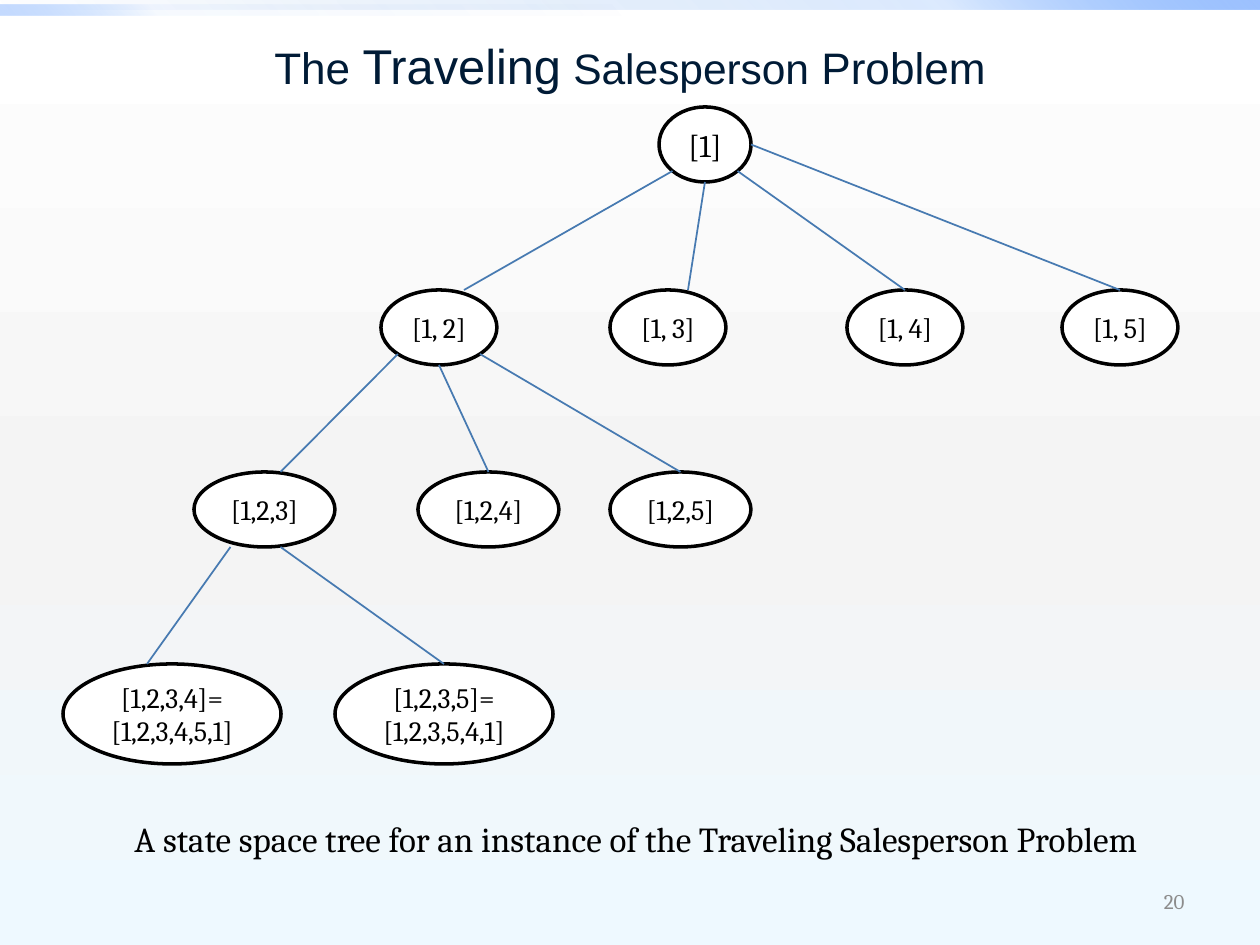
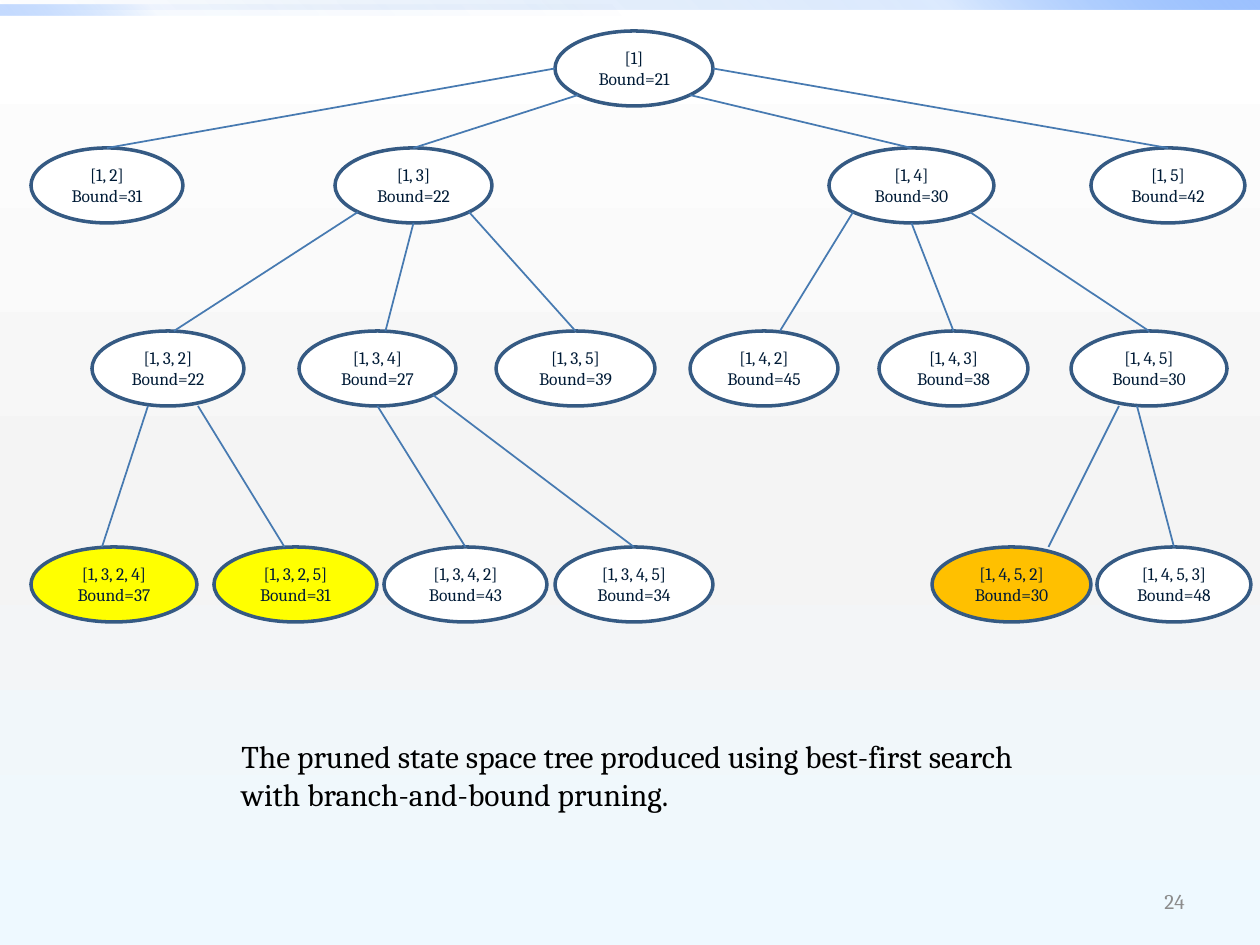
from math import sqrt

from lxml import etree
from pptx import Presentation
from pptx.dml.color import RGBColor
from pptx.enum.shapes import MSO_CONNECTOR, MSO_SHAPE
from pptx.enum.text import MSO_ANCHOR, MSO_AUTO_SIZE, PP_ALIGN
from pptx.oxml.ns import qn
from pptx.util import Emu, Pt

SCALE = 914400 / 126
WIDE, HIGH = 1260, 945

LINE = MSO_CONNECTOR.STRAIGHT
OVAL, RECT = MSO_SHAPE.OVAL, MSO_SHAPE.RECTANGLE
MIDDLE, TOP = MSO_ANCHOR.MIDDLE, MSO_ANCHOR.TOP
LEFT, CENTER, RIGHT = PP_ALIGN.LEFT, PP_ALIGN.CENTER, PP_ALIGN.RIGHT
NO_FIT = MSO_AUTO_SIZE.NONE

WHITE = RGBColor(0xFF, 0xFF, 0xFF)
BLACK = RGBColor(0, 0, 0)
SMOKE = RGBColor(0xF4, 0xF4, 0xF4)
ICE = RGBColor(0xEE, 0xF9, 0xFF)
DEEP = RGBColor(0, 0x58, 0xB7)
BLUE = RGBColor(0x4F, 0x95, 0xFF)
PALE = RGBColor(0x9E, 0xC2, 0xFF)
NAVY = RGBColor(0, 0x1B, 0x36)
STEEL = RGBColor(0x35, 0x5A, 0x83)
EDGE = RGBColor(0x47, 0x7A, 0xB1)
GREY = RGBColor(0x8C, 0x8C, 0x8C)
YELLOW = RGBColor(0xFF, 0xFF, 0)
AMBER = RGBColor(0xFF, 0xC0, 0)

HEAD, BODY = "Arial", "Cambria"

# Points on an ellipse, as shares of its half width and half height
DIAG = sqrt(0.5)
SITES = {"W": (-1, 0), "SW": (-DIAG, DIAG), "S": (0, 1),
         "SE": (DIAG, DIAG), "E": (1, 0)}

TITLE = [("The ", 25.2), ("Traveling", 27.9), (" ", 25.2),
         ("Salesperson", 24.3), (" Problem", 25.2)]

# Level: top, height, font size, nodes.
# Node: label, left, width, then for its edge: site on the parent,
# shift of the start, shift of the end.
STATES = [
    (107, 75, 18, [("[1]", 659, 92)]),
    (290, 75, 16, [
        ("[1, 2]", 381, 116, "SW", 0, 25),
        ("[1, 3]", 610, 116, "S", 0, 20),
        ("[1, 4]", 847, 116, "SE", 0, 0),
        ("[1, 5]", 1062, 116, "E", 0, 0)]),
    (472, 75, 16, [
        ("[1,2,3]", 194, 141, "SW", 0, 16),
        ("[1,2,4]", 418, 141, "S", 0, 0),
        ("[1,2,5]", 610, 141, "SE", 0, 0)]),
    (664, 100, 16, [
        ("[1,2,3,4]=\n[1,2,3,4,5,1]", 63, 218, "S", -34, -25),
        ("[1,2,3,5]=\n[1,2,3,5,4,1]", 335, 218, "S", 16, 0)]),
]

BOUNDS = [
    (31, 75, 10, [("[1]\nBound=21", 555, 158)]),
    (148, 75, 10, [
        ("[1, 2]\nBound=31", 31, 152, "W", 0, 0),
        ("[1, 3]\nBound=22", 335, 157, "SW", 0, 0),
        ("[1, 4]\nBound=30", 829, 165, "SE", 0, 0),
        ("[1, 5]\nBound=42", 1091, 154, "E", 0, 0)]),
    (331, 75, 10, [
        ("[1, 3, 2]\nBound=22", 92, 152, "SW", 0, 6),
        ("[1, 3, 4]\nBound=27", 299, 157, "S", 0, 8),
        ("[1, 3, 5]\nBound=39", 496, 159, "SE", 0, 0),
        ("[1, 4, 2]\nBound=45", 690, 148, "SW", 0, 16),
        ("[1, 4, 3]\nBound=38", 879, 149, "S", 0, 0),
        ("[1, 4, 5]\nBound=30", 1071, 156, "SE", 0, 0)]),
    (547, 75, 10, [
        ("[1, 3, 2, 4]\nBound=37", 31, 166, "S", -20, -12),
        ("[1, 3, 2, 5]\nBound=31", 214, 163, "S", 30, -11),
        ("[1, 3, 4, 2]\nBound=43", 384, 163, "S", 0, 0),
        ("[1, 3, 4, 5]\nBound=34", 555, 158, "SE", 0, 0),
        ("[1, 4, 5, 2]\nBound=30", 932, 159, "S", -30, 37),
        ("[1, 4, 5, 3]\nBound=48", 1097, 154, "S", -12, 0)]),
]
MARKS = {"1324": YELLOW, "1325": YELLOW, "1452": AMBER}


def px(count):
    return Emu(round(count * SCALE))


def place(shape, *box):
    shape.left, shape.top, shape.width, shape.height = map(px, box)


def style(frame, size, color, align, font=BODY):
    for para in frame.paragraphs:
        para.alignment = align
        for run in para.runs:
            run.font.size = Pt(size)
            run.font.name = font
            run.font.color.rgb = color


def blend(owner, fill, stops, angle):
    """Give a fill a linear gradient; stops are (place, colour, opacity) in %."""
    fill.gradient()
    grad = next(owner.element.iter(qn("a:gradFill")))
    grad.find(qn("a:lin")).set("ang", str(angle * 60000))
    group = grad.find(qn("a:gsLst"))
    for old in list(group):
        group.remove(old)
    for pos, color, alpha in stops:
        stop = etree.SubElement(group, qn("a:gs"), pos=str(pos * 1000))
        tint = etree.SubElement(stop, qn("a:srgbClr"), val=str(color))
        etree.SubElement(tint, qn("a:alpha"), val=str(alpha * 1000))


def add_band(slide, master, box, alphas, angle):
    """Draw a band and move it to the back of the master."""
    band = slide.shapes.add_shape(RECT, *map(px, box))
    band.shadow.inherit = False
    band.line.fill.background()
    stops = zip((0, 75, 100), (DEEP, BLUE, PALE), alphas)
    blend(band, band.fill, stops, angle)
    master.shapes.element.insert(2, band.element)


def set_theme(slide, master):
    stops = [(0, WHITE, 100), (55, SMOKE, 100), (100, ICE, 100)]
    blend(master, master.background.fill, stops, 90)
    add_band(slide, master, (0, 5, WIDE // 2, 10), (0, 5, 60), 135)
    add_band(slide, master, (0, 0, WIDE, 10), (0, 20, 100), 315)


def set_title(slide, parts):
    title = slide.shapes.title
    place(title, 63, 30, 1134, 69)
    frame = title.text_frame
    frame.auto_size = NO_FIT
    frame.vertical_anchor = MIDDLE
    para = frame.paragraphs[0]
    for text, _ in parts:
        para.add_run().text = text
    style(frame, 25.2, NAVY, CENTER, HEAD)
    for run, (_, size) in zip(para.runs, parts):
        run.font.size = Pt(size)


def add_text(slide, text, box, size, color=BLACK, align=LEFT, anchor=TOP):
    frame = slide.shapes.add_textbox(*map(px, box)).text_frame
    frame.word_wrap = True
    frame.vertical_anchor = anchor
    frame.text = text
    style(frame, size, color, align)


def add_number(slide, number):
    add_text(slide, str(number), (903, 876, 294, 50), 12, GREY, RIGHT, MIDDLE)


def add_node(slide, label, box, size, ink, rim, fill):
    node = slide.shapes.add_shape(OVAL, *map(px, box))
    node.shadow.inherit = False
    node.fill.solid()
    node.fill.fore_color.rgb = fill
    node.line.color.rgb = rim
    node.line.width = Pt(2)
    frame = node.text_frame
    frame.margin_left = frame.margin_right = 0
    frame.margin_top = frame.margin_bottom = 0
    frame.word_wrap = False
    frame.vertical_anchor = MIDDLE
    frame.text = label
    style(frame, size, ink, CENTER)
    return node


def add_edge(slide, parent, child, site, start, end):
    across, down = SITES[site]
    x = parent.left + parent.width * (1 + across) / 2 + px(start)
    y = parent.top + parent.height * (1 + down) / 2
    tip = child.left + child.width // 2 + px(end)
    edge = slide.shapes.add_connector(LINE, Emu(round(x)), Emu(round(y)),
                                      tip, child.top)
    if end == 0:
        edge.end_connect(child, 0)
    edge.line.color.rgb = EDGE
    edge.line.width = Pt(1)
    etree.SubElement(edge.element.spPr, qn("a:effectLst"))


def add_tree(slide, levels, ink, rim, marks):
    """Draw the nodes, then join each to the node whose path is one step less."""
    nodes, edges = {}, {}
    for top, height, size, row in levels:
        for label, left, width, *edge in row:
            path = "".join(filter(str.isdigit, label.split("\n")[0]))
            box = (left, top, width, height)
            fill = marks.get(path, WHITE)
            nodes[path] = add_node(slide, label, box, size, ink, rim, fill)
            if edge:
                edges[path] = edge
    for path, edge in edges.items():
        add_edge(slide, nodes[path[:-1]], nodes[path], *edge)


def main():
    prs = Presentation()
    prs.slide_width, prs.slide_height = px(WIDE), px(HIGH)

    first = prs.slides.add_slide(prs.slide_layouts[5])
    set_theme(first, prs.slide_master)
    set_title(first, TITLE)
    add_number(first, 20)
    add_tree(first, STATES, BLACK, BLACK, {})
    add_text(first, "A state space tree for an instance of the "
             "Traveling Salesperson Problem", (122, 811, 1101, 55), 20)

    second = prs.slides.add_slide(prs.slide_layouts[6])
    add_tree(second, BOUNDS, NAVY, STEEL, MARKS)
    add_text(second, "The pruned state space tree produced using best-first "
             "search with branch-and-bound pruning.", (229, 731, 819, 89), 18)
    add_number(second, 24)

    prs.save("out.pptx")


if __name__ == "__main__":
    main()
